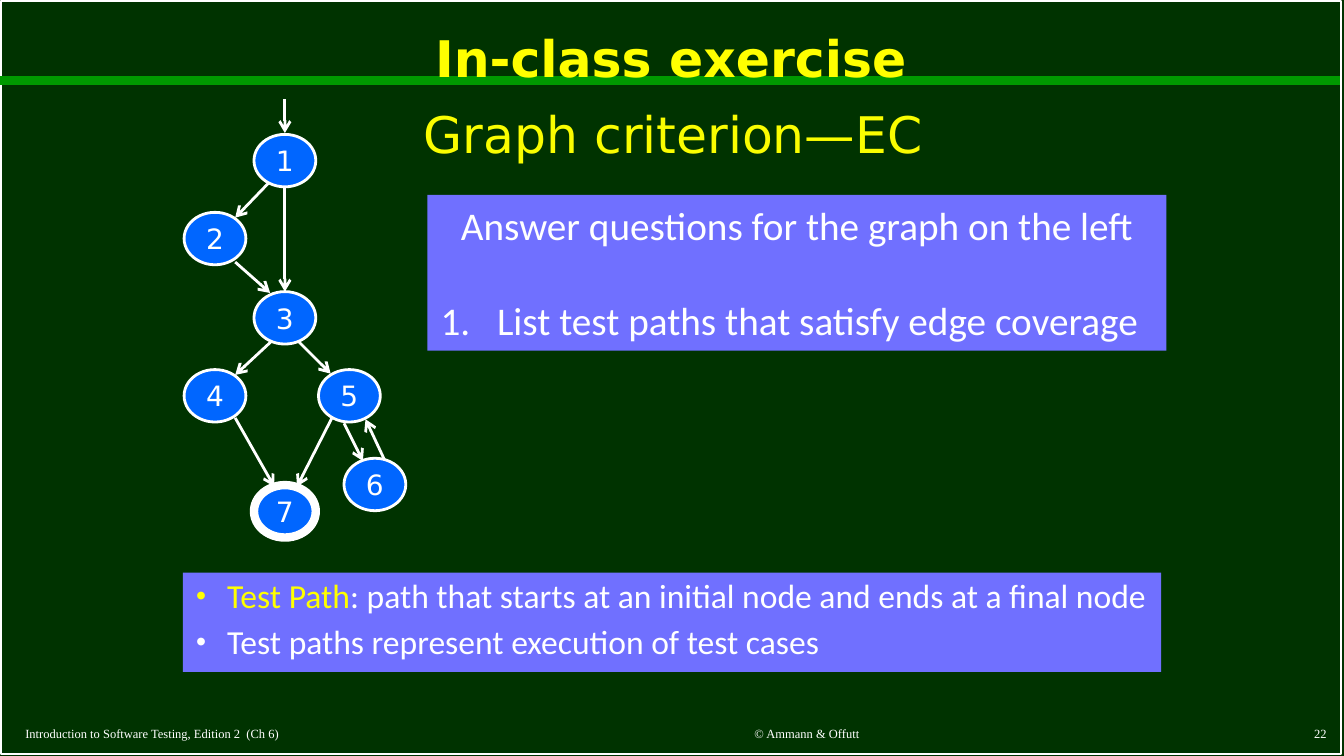
from lxml.etree import SubElement
from pptx import Presentation
from pptx.dml.color import RGBColor
from pptx.enum.shapes import MSO_CONNECTOR, MSO_SHAPE
from pptx.enum.text import MSO_ANCHOR, MSO_AUTO_SIZE, PP_ALIGN
from pptx.oxml.ns import qn
from pptx.util import Inches, Pt

HUES = {"back": "003300", "rule": "009900", "white": "FFFFFF", "title": "FFFF00",
        "sub": "FAFD00", "panel": "7070FF", "node": "0066FF"}
SANS, BODY, SERIF = "DejaVu Sans", "Calibri", "Times New Roman"
LEFT, MID, RIGHT = PP_ALIGN.LEFT, PP_ALIGN.CENTER, PP_ALIGN.RIGHT

TITLE = "In-class exercise"
SUB = "Graph criterion—EC"
TASK = ["Answer questions for the graph on the left",
        "List test paths that satisfy edge coverage"]
NOTES = [[("Test Path", "title"),
          (": path that starts at an initial node and ends at a final node", "white")],
         [("Test paths represent execution of test cases", "white")]]
FOOT = [("Introduction to Software Testing, Edition 2  (Ch 6)", LEFT, (0.09, 5.34, 4.12, 0.22)),
        ("© Ammann & Offutt", MID, (4.42, 5.33, 3.17, 0.23)),
        ("22", RIGHT, (7.89, 5.32, 2.08, 0.24))]
NODES = {"1": (1.89, 1), "2": (1.37, 1.58), "3": (1.89, 2.17), "4": (1.37, 2.75),
         "5": (2.37, 2.75), "6": (2.56, 3.41), "7": (1.89, 3.61)}
FINAL = "7"
EDGES = [(2.12, 0.74, 2.12, 0.99), (2, 1.36, 1.75, 1.62), (2.12, 1.39, 2.12, 2.17),
         (1.75, 1.95, 2.01, 2.18), (2.02, 2.54, 1.75, 2.79), (2.22, 2.54, 2.46, 2.78),
         (1.75, 3.11, 2.04, 3.62), (2.47, 3.11, 2.21, 3.62), (2.56, 3.15, 2.7, 3.43),
         (2.86, 3.42, 2.72, 3.12)]


def hue(name):
    return RGBColor.from_string(HUES[name])


def style(para, face, size, tint="white", align=LEFT, bold=False):
    para.alignment = align
    font = para.font
    font.name, font.size, font.bold = face, Pt(size), bold
    font.color.rgb = hue(tint)


def place(shape, box):
    shape.left, shape.top, shape.width, shape.height = map(Inches, box)


def setup(frame, anchor=MSO_ANCHOR.TOP, wrap=True):
    frame.auto_size = MSO_AUTO_SIZE.NONE
    frame.vertical_anchor = anchor
    frame.word_wrap = wrap


def draw(kind, box, fill=None, line=None, width=1):
    shape = slide.shapes.add_shape(kind, *map(Inches, box))
    shape.shadow.inherit = False
    for part, tint in ((shape.fill, fill), (shape.line.fill, line)):
        if tint:
            part.solid()
            part.fore_color.rgb = hue(tint)
        else:
            part.background()
    if line:
        shape.line.width = Pt(width)
    return shape


def link(ends, tint, width, arrow=True):
    line = slide.shapes.add_connector(MSO_CONNECTOR.STRAIGHT, *map(Inches, ends))
    line.line.color.rgb = hue(tint)
    line.line.width = Pt(width)
    if arrow:
        SubElement(line.line._get_or_add_ln(), qn("a:tailEnd"), type="arrow")
    SubElement(line._element.spPr, qn("a:effectLst"))
    return line


def bullet(para, indent, tag, scale=None, **attrs):
    props = para._p.get_or_add_pPr()
    props.set("marL", str(Inches(indent)))
    props.set("indent", str(-Inches(indent)))
    if scale:
        SubElement(props, qn("a:buSzPct"), val=str(scale * 1000))
    SubElement(props, qn(tag), **attrs)


def label(text, box, face, size, tint="white", align=LEFT, anchor=MSO_ANCHOR.TOP, wrap=True):
    shape = slide.shapes.add_textbox(*map(Inches, box))
    setup(shape.text_frame, anchor, wrap)
    shape.text_frame.text = text
    style(shape.text_frame.paragraphs[0], face, size, tint, align)


deck = Presentation()
deck.slide_width, deck.slide_height = Inches(10), Inches(10 * 9 / 16)
slide = deck.slides.add_slide(deck.slide_layouts[1])
slide.background.fill.solid()
slide.background.fill.fore_color.rgb = hue("back")

border = draw(MSO_SHAPE.RECTANGLE, (0.01, 0.01, 9.97, 5.6), line="white")
rule = link((0, 0.6, 9.97, 0.6), "rule", 4.5, arrow=False)
for spot, shape in enumerate((border, rule), 2):
    slide.shapes._spTree.insert(spot, shape._element)

head = slide.shapes.title
place(head, (0.09, 0.08, 9.8, 0.75))
setup(head.text_frame, MSO_ANCHOR.MIDDLE)
head.text_frame.text = TITLE
para = head.text_frame.paragraphs[0]
style(para, SANS, 27, "title", MID, True)
para.line_spacing = 0.9

label(SUB, (3.04, 0.72, 3.94, 0.56), SANS, 27, "sub", MID, wrap=False)
for text, align, box in FOOT:
    label(text, box, SERIF, 6.75, align=align, anchor=MSO_ANCHOR.BOTTOM)

task = draw(MSO_SHAPE.RECTANGLE, (3.18, 1.45, 5.5, 1.16), "panel").text_frame
setup(task)
task.text = "\n".join(TASK)
lead, item = task.paragraphs
style(lead, BODY, 21, align=MID)
style(item, BODY, 21)
item.space_before = Pt(25.6)
bullet(item, 0.42, "a:buAutoNum", type="arabicPeriod")

body = slide.placeholders[1]
place(body, (1.36, 4.26, 7.28, 0.74))
body.fill.solid()
body.fill.fore_color.rgb = hue("panel")
notes = body.text_frame
setup(notes)
for spot, runs in enumerate(NOTES):
    para = notes.add_paragraph() if spot else notes.paragraphs[0]
    style(para, BODY, 18)
    para.line_spacing, para.space_before = 0.9, Pt(5.4)
    bullet(para, 0.23, "a:buChar", 85, char="•")
    for text, tint in runs:
        run = para.add_run()
        run.text = text
        run.font.color.rgb = hue(tint)

for name, (left, top) in NODES.items():
    width = 4.5 if name == FINAL else 1.5
    node = draw(MSO_SHAPE.OVAL, (left, top, 0.46, 0.39), "node", "white", width)
    setup(node.text_frame, MSO_ANCHOR.MIDDLE, False)
    node.text_frame.text = name
    style(node.text_frame.paragraphs[0], SANS, 15, align=MID)

for ends in EDGES:
    link(ends, "white", 1.5)

deck.save("out.pptx")
